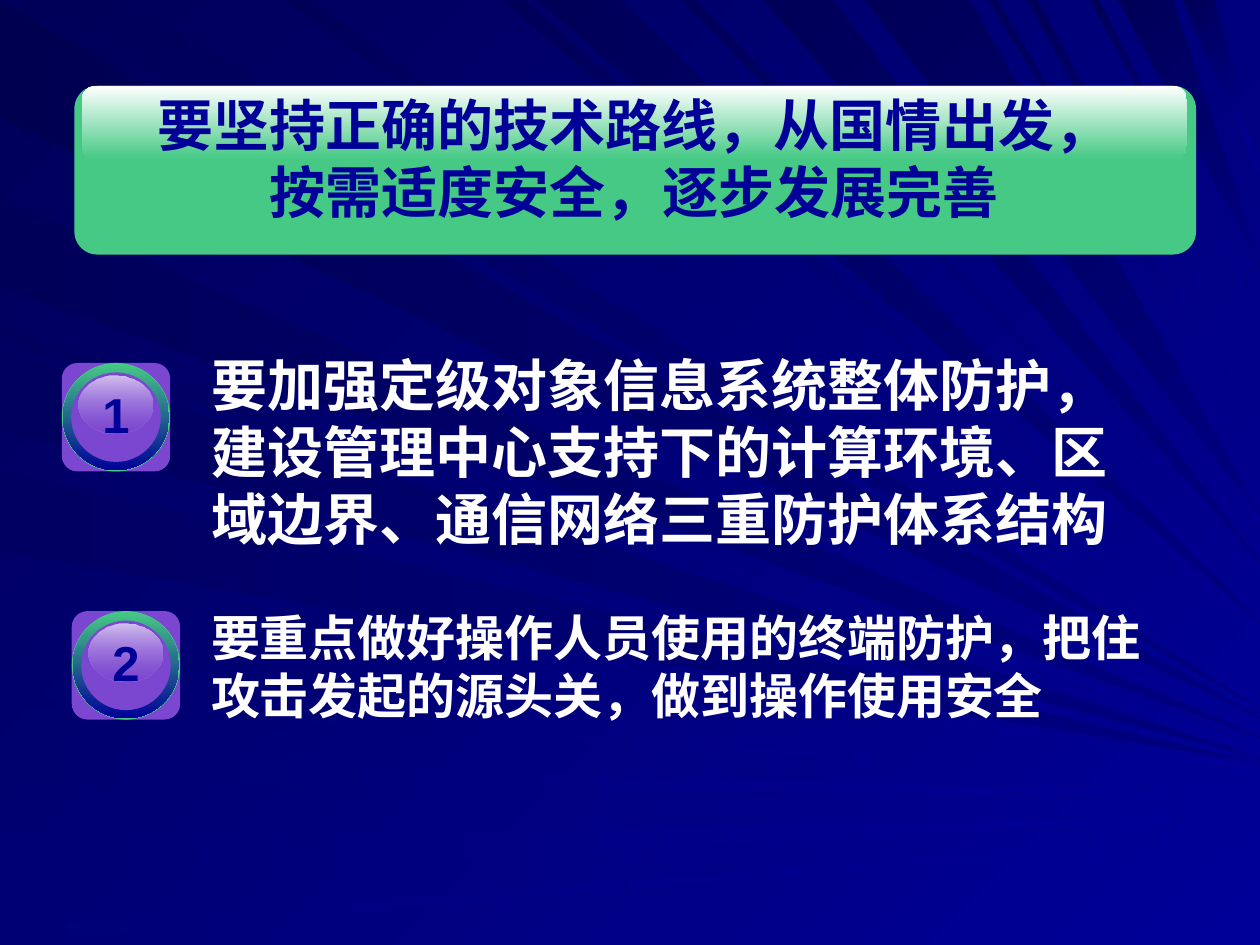
from pptx import Presentation
from pptx.dml.color import RGBColor
from pptx.enum.shapes import MSO_SHAPE as Shape
from pptx.enum.text import MSO_ANCHOR as Anchor, MSO_AUTO_SIZE as AutoSize, PP_ALIGN as Align
from pptx.oxml.ns import qn
from pptx.oxml.xmlchemy import OxmlElement
from pptx.util import Pt

NAVY = RGBColor(0x00, 0x00, 0x99)
DEEP_BLUE = RGBColor(0x00, 0x00, 0x80)
MIDNIGHT = RGBColor(0x00, 0x00, 0x58)
GREEN = RGBColor(0x45, 0xC9, 0x84)
PURPLE = RGBColor(0x7B, 0x46, 0xD0)
LILAC = RGBColor(0xD3, 0xC1, 0xEF)
WHITE = RGBColor(0xFF, 0xFF, 0xFF)

WIDTH, HEIGHT = 720, 540
WIDE_RAY = 28

# Light rays in points: start and end on the left or top edge, tip on the right edge
LEFT_RAYS = [(1, 67, 410), (114, 164, 421), (186, 194, 424), (200, 246, 433),
             (269, 315, 436), (397, 403, 448), (429, 449, 455), (479, 507, 466),
             (529, 540, 477)]
TOP_RAYS = [(19, 73, 405), (162, 178, 396), (287, 300, 373), (307, 354, 355),
            (389, 397, 333), (436, 476, 321), (494, 554, 294), (565, 570, 257),
            (587, 593, 242), (623, 628, 182), (639, 670, 151), (676, 694, 101)]


def paint(fill, first, last=None, angle=0):
    """Fill with one colour, or with a gradient whose angle runs clockwise."""
    if last is None:
        fill.solid()
        fill.fore_color.rgb = first
        return
    fill.gradient()
    fill.gradient_angle = 360 - angle
    for stop, color in zip(fill.gradient_stops, (first, last)):
        stop.color.rgb = color


def write(shape, text, size=28, color=WHITE, font="Arial", align=Align.LEFT,
          anchor=Anchor.TOP, wrap=True, indent=0):
    """Write bold text into a shape, one paragraph per line of the text."""
    frame = shape.text_frame
    frame.text = text
    frame.auto_size = AutoSize.NONE
    frame.word_wrap = wrap
    frame.vertical_anchor = anchor
    frame.margin_left = Pt(7.2 + indent)
    for paragraph in frame.paragraphs:
        paragraph.alignment = align
        paragraph.space_before = Pt(0)
        paragraph.font.size = Pt(size)
        paragraph.font.name = font
        paragraph.font.bold = True
        paragraph.font.color.rgb = color


class SlideBuilder:
    def __init__(self, presentation):
        self.slide = presentation.slides.add_slide(presentation.slide_layouts[5])
        self.shapes = self.slide.shapes

    def background(self):
        paint(self.slide.background.fill, MIDNIGHT, NAVY, 45)

    def finish(self, shape, *colors):
        shape.shadow.inherit = False
        shape.line.fill.background()
        paint(shape.fill, *colors)
        return shape

    def ray(self, start, end, tip, from_top):
        corners = [(start, 0), (end, 0)] if from_top else [(0, start), (0, end)]
        points = [(Pt(x), Pt(y)) for x, y in corners + [(WIDTH, tip)]]
        builder = self.shapes.build_freeform(*points[0])
        builder.add_line_segments(points[1:], close=True)
        # Rays from the left edge are lighter the lower they start
        dark = MIDNIGHT if from_top else RGBColor(0, 0, 0x50 + start // 14)
        light = DEEP_BLUE if end - start > WIDE_RAY else NAVY
        self.finish(builder.convert_to_shape(), dark, light, 45 if from_top else 0)

    def preset(self, kind, left, top, width, height, *colors, corner=None):
        shape = self.shapes.add_shape(kind, Pt(left), Pt(top), Pt(width), Pt(height))
        if corner is not None:
            shape.adjustments[0] = corner
        return self.finish(shape, *colors)

    def text_box(self, text, left, top, width, height, **style):
        box = self.shapes.add_textbox(Pt(left), Pt(top), Pt(width), Pt(height))
        write(box, text, **style)

    def title(self, text, left, top, width, height, **style):
        title = self.shapes.title
        title.left, title.top = Pt(left), Pt(top)
        title.width, title.height = Pt(width), Pt(height)
        write(title, text, **style)
        self.shapes._spTree.append(title._element)  # bring in front of the panel

    def badge(self, number, left, top, size=62):
        self.preset(Shape.ROUNDED_RECTANGLE, left, top, size, size, PURPLE, corner=0.145)
        for inset, colors in ((0, [GREEN]), (0.7, [GREEN, NAVY, 90]), (5.4, [PURPLE])):
            side = size - 2 * inset
            self.preset(Shape.OVAL, left + inset, top + inset, side, side, *colors)
        gloss = self.preset(Shape.OVAL, left + 9.4, top + 7.2, 42.5, 33, LILAC, PURPLE, 90)
        alpha = OxmlElement("a:alpha")
        alpha.set("val", "37000")
        list(gloss._element.spPr.iter(qn("a:srgbClr")))[-1].append(alpha)
        self.text_box(number, left, top, size, 58, color=NAVY, align=Align.CENTER,
                      anchor=Anchor.MIDDLE, wrap=False)


def main():
    presentation = Presentation()
    presentation.slide_width, presentation.slide_height = Pt(WIDTH), Pt(HEIGHT)
    builder = SlideBuilder(presentation)

    # Background with light rays
    builder.background()
    for rays, from_top in ((LEFT_RAYS, False), (TOP_RAYS, True)):
        for ray in rays:
            builder.ray(*ray, from_top)

    # Title on a glossy panel
    builder.preset(Shape.ROUNDED_RECTANGLE, 42.5, 49, 641, 96.5, GREEN, corner=0.137)
    builder.preset(Shape.ROUNDED_RECTANGLE, 46.8, 49, 631.4, 42, WHITE, GREEN, 90,
                   corner=0.186)
    builder.title("要坚持正确的技术路线，从国情出发，\n按需适度安全，逐步发展完善",
                  46.8, 49, 631.4, 82, size=32, color=NAVY, font="Times New Roman",
                  align=Align.CENTER, anchor=Anchor.MIDDLE)

    # Numbered points
    builder.badge("1", 35.3, 207.4)
    builder.text_box("要加强定级对象信息系统整体防护，建设管理中心支持下的计算环境、"
                     "区域边界、通信网络三重防护体系结构",
                     86.4, 196.6, 580, 136, size=32, indent=27)
    builder.badge("2", 41, 349.2)
    builder.text_box("要重点做好操作人员使用的终端防护，把住攻击发起的源头关，做到操作使用安全",
                     86.4, 343.4, 580, 102, indent=27)

    presentation.save("out.pptx")


if __name__ == "__main__":
    main()
